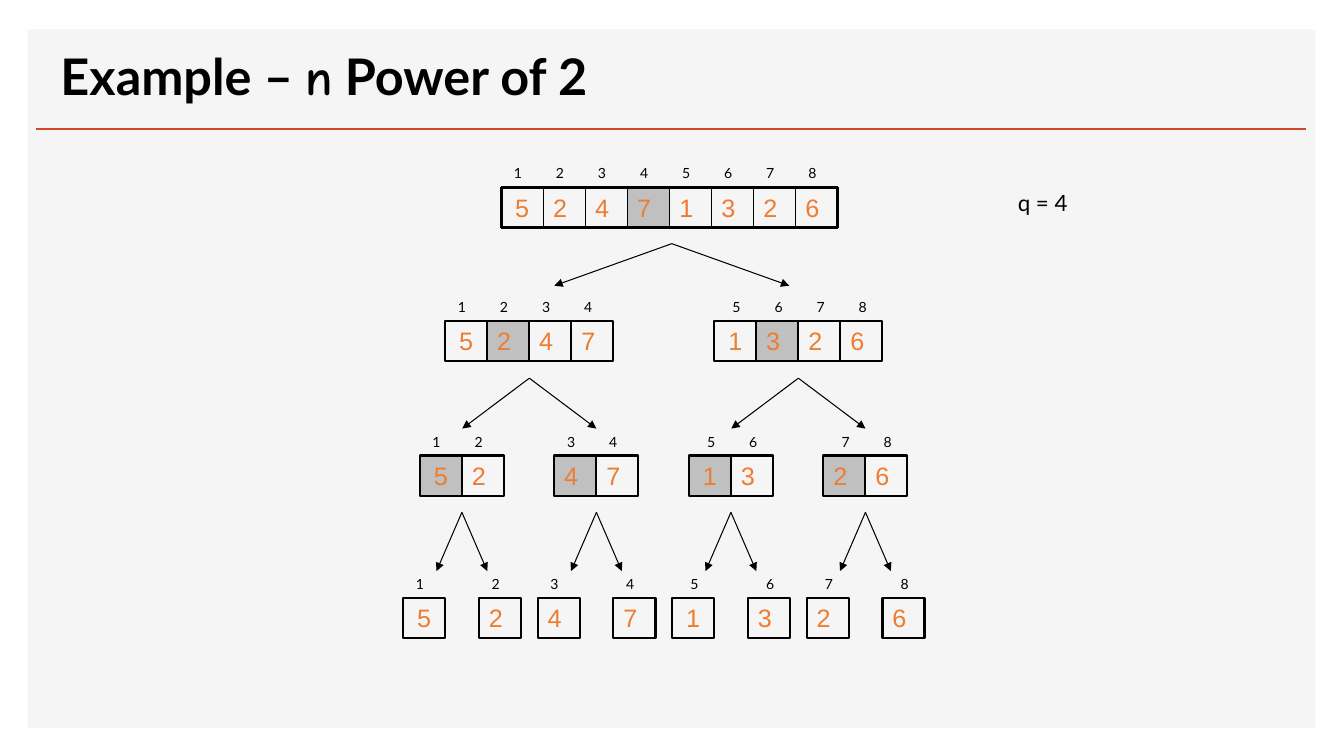
from lxml import etree
from pptx import Presentation, util as u
from pptx.dml.color import RGBColor
from pptx.enum import shapes, text
from pptx.oxml.ns import qn

BLACK, ORANGE, GREY, PANEL, RED = "000000", "ED7D31", "C0C0C0", "F5F5F5", "D24726"
VALUES = (5, 2, 4, 7, 1, 3, 2, 6)
CELL, HEIGHT, LABEL_HEIGHT = 1.06, 1.02, 0.69
STEP, SIBLING = 3.39, 1.91


def color(code):
    return RGBColor.from_string(code)


def apply(target, values):
    for name, value in values.items():
        setattr(target, name, value)


def add_span(para, words, size, font, code, bold=False):
    span = para.add_run()
    span.text = words
    apply(span.font, {"size": u.Pt(size), "name": font, "bold": bold})
    span.font.color.rgb = color(code)


def add_line(page, start, end, code, width, arrow=False):
    points = [u.Cm(value) for value in (*start, *end)]
    line = page.shapes.add_connector(shapes.MSO_CONNECTOR.STRAIGHT, *points)
    line.line.width = u.Pt(width)
    line.line.color.rgb = color(code)
    props = line._element.spPr
    if arrow:
        etree.SubElement(props.find(qn("a:ln")), qn("a:tailEnd"), type="triangle")
    etree.SubElement(props, qn("a:effectLst"))
    return line


def add_rect(page, left, top, width, height, fill=None, border=None):
    rect = page.shapes.add_shape(
        shapes.MSO_SHAPE.RECTANGLE, *map(u.Cm, (left, top, width, height)))
    rect.shadow.inherit = False
    if fill:
        rect.fill.solid()
        rect.fill.fore_color.rgb = color(fill)
    else:
        rect.fill.background()
    if border:
        rect.line.width = u.Pt(border)
        rect.line.color.rgb = color(BLACK)
    else:
        rect.line.fill.background()
    return rect


def add_label(page, words, left, top, width, height, size):
    box = page.shapes.add_textbox(*map(u.Cm, (left, top, width, height)))
    box.text_frame.word_wrap = True
    add_span(box.text_frame.paragraphs[0], words, size, "Lato", BLACK)


def add_cell(page, value, left, top, fill, border, centred):
    cell = add_rect(page, left, top, CELL, HEIGHT, fill, border)
    anchor = text.MSO_ANCHOR.MIDDLE if centred else text.MSO_ANCHOR.TOP
    align = text.PP_ALIGN.CENTER if centred else text.PP_ALIGN.LEFT
    apply(cell.text_frame, {"word_wrap": True, "vertical_anchor": anchor})
    para = cell.text_frame.paragraphs[0]
    apply(para, {"alignment": align, "space_before": u.Pt(3.6)})
    add_span(para, str(value), 18, "Arial", ORANGE)


def add_block(page, left, top, first, size):
    whole = size == len(VALUES)
    shift = 0.21 if first > len(VALUES) // 2 else 0.07
    for place in range(size):
        index = first + place
        x = left + place * CELL
        add_label(page, str(index), x + shift, top - LABEL_HEIGHT, 0.64, LABEL_HEIGHT, 10)
        add_cell(page, VALUES[index - 1], x, top,
                 GREY if place + 1 == size // 2 else None,
                 None if whole else 1.5,
                 place == 0 and first % 4 == 1)
    if whole:
        add_frame(page, left, top, size)


def add_frame(page, left, top, size):
    right, bottom = left + size * CELL, top + HEIGHT
    for y in (top, bottom):
        add_line(page, (left, y), (right, y), BLACK, 2.25)
    for place in range(size + 1):
        x = left + place * CELL
        add_line(page, (x, top), (x, bottom), BLACK, 1 if 0 < place < size else 2.25)


def add_tree(page, left, top):
    rows = (
        (0.71, [2.47]),
        (4.07, [1.06 + 2 * STEP * pair for pair in range(2)]),
        (7.47, [0.42 + STEP * pair for pair in range(4)]),
        (11.05, [STEP * pair + SIBLING * side for pair in range(4) for side in range(2)]),
    )
    for row_top, lefts in rows:
        size = len(VALUES) // len(lefts)
        for number, offset in enumerate(lefts):
            add_block(page, left + offset, top + row_top, number * size + 1, size)
    forks = (
        (2.13, 3.19, 2.96, [6.77]),
        (5.52, 6.79, 1.69, [3.18 + 2 * STEP * pair for pair in range(2)]),
        (8.9, 10.38, 0.64, [1.48 + STEP * pair for pair in range(4)]),
    )
    for start, end, spread, centres in forks:
        for centre in centres:
            for reach in (-spread, spread):
                add_line(page, (left + centre, top + start),
                         (left + centre + reach, top + end), BLACK, 0.75, True)


def add_backdrop(deck, page, left, top, width, height):
    panel = add_rect(page, left, top, width, height, PANEL)
    rule = add_line(page, (left + 0.22, top + 2.51), (left + width - 0.24, top + 2.51), RED, 2)
    for part in (panel, rule):
        deck.slide_master.shapes._spTree.append(part._element)


def add_title(page, left, top, width, height):
    title = page.shapes.title
    apply(title, {"left": u.Cm(left), "top": u.Cm(top),
                  "width": u.Cm(width), "height": u.Cm(height)})
    apply(title.text_frame, {"word_wrap": True, "auto_size": text.MSO_AUTO_SIZE.NONE,
                             "vertical_anchor": text.MSO_ANCHOR.BOTTOM})
    para = title.text_frame.paragraphs[0]
    para.alignment = text.PP_ALIGN.LEFT
    for words, font in (("Example – ", "Lato"), ("n", "Comic Neue"), (" Power of 2", "Lato")):
        add_span(para, words, 36, font, BLACK, True)


deck = Presentation()
apply(deck, {"slide_width": u.Cm(33.87), "slide_height": u.Cm(19.05)})
page = deck.slides.add_slide(deck.slide_layouts[5])
add_backdrop(deck, page, 0.69, 0.74, 32.46, 17.6)
add_title(page, 1.27, 0.28, 30.48, 2.51)
add_tree(page, 10.16, 4.01)
add_label(page, "q = 4", 25.4, 4.65, 2.74, 0.94, 16)
deck.save("out.pptx")
